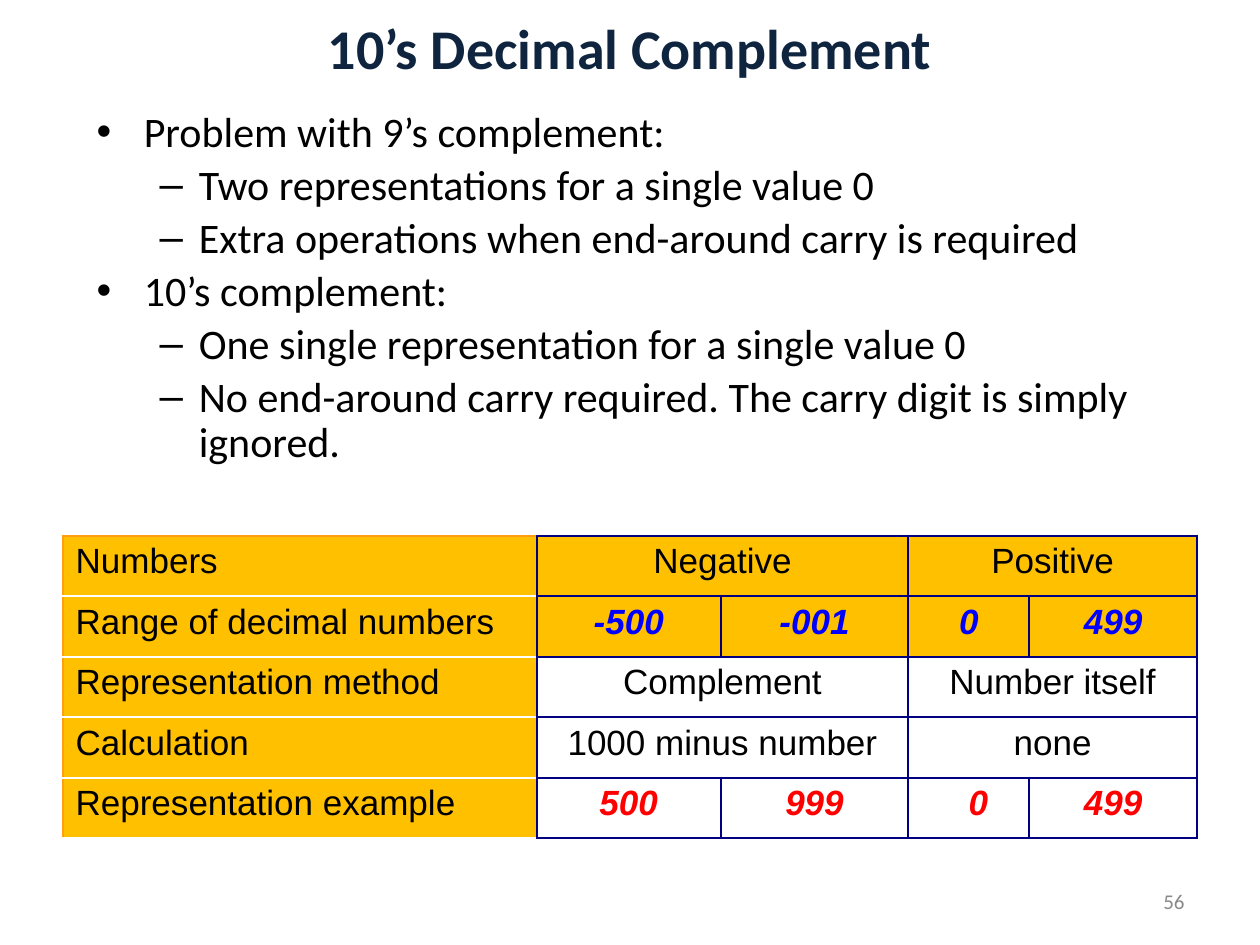
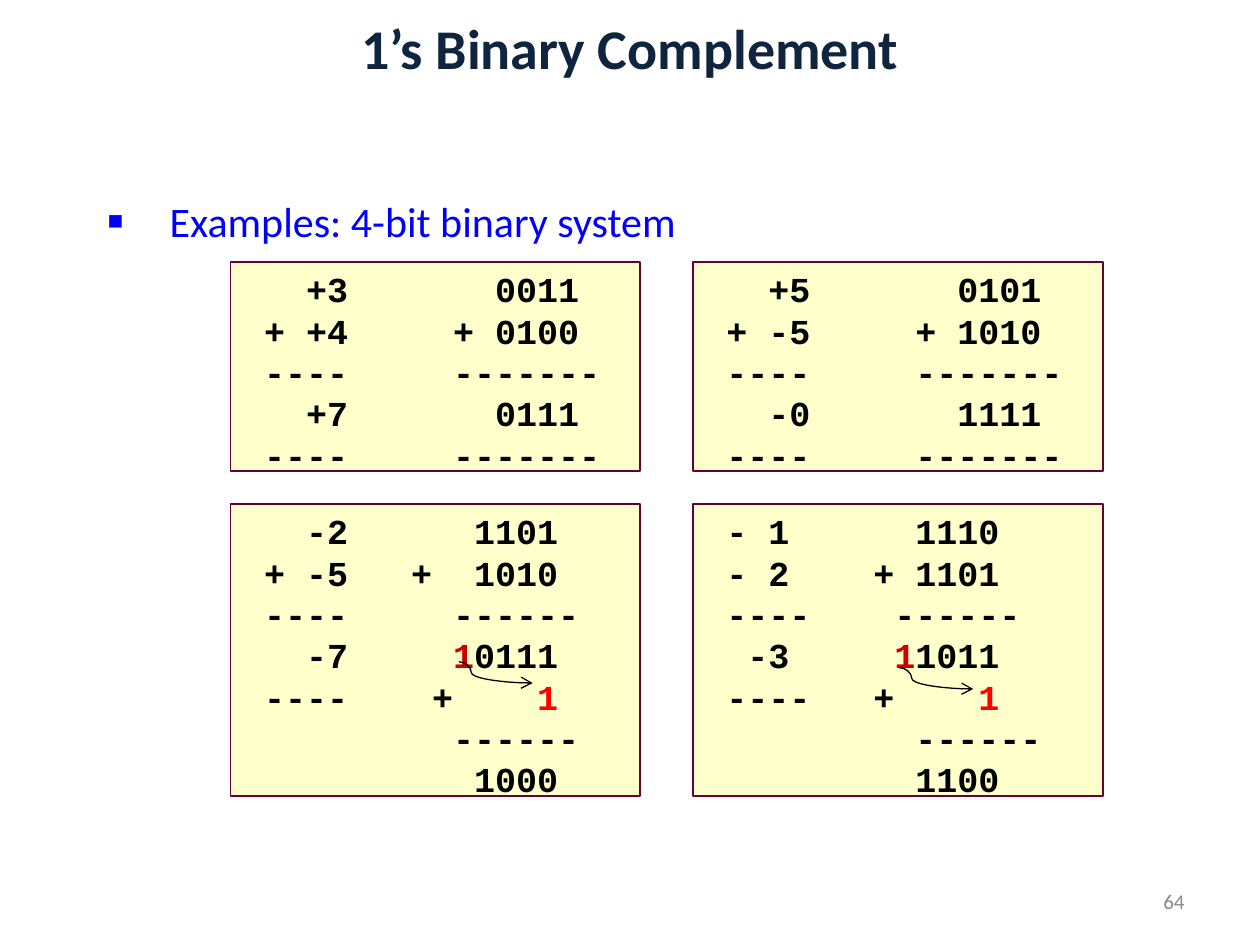
"""Builds two slides on decimal and binary complements."""
import pptx
import pptx.dml.color
import pptx.enum.shapes
import pptx.enum.text
import pptx.util
from lxml import etree
from pptx.util import Cm

RGB = pptx.dml.color.RGBColor
Align = pptx.enum.text.PP_ALIGN
Anchor = pptx.enum.text.MSO_ANCHOR
Pt = pptx.util.Pt

BLACK = RGB(0x00, 0x00, 0x00)
WHITE = RGB(0xFF, 0xFF, 0xFF)
INK = RGB(0x0F, 0x24, 0x3E)
GREY = RGB(0x89, 0x89, 0x89)
BLUE = RGB(0x00, 0x00, 0xFF)
NAVY = RGB(0x00, 0x00, 0x80)
RED = RGB(0xFF, 0x00, 0x00)
CARRY = RGB(0xCC, 0x00, 0x00)
GOLD = RGB(0xFF, 0xC0, 0x00)
AMBER = RGB(0xFF, 0x9F, 0x11)
CREAM = RGB(0xFF, 0xFF, 0xCC)
WINE = RGB(0x66, 0x00, 0x33)

SANS, PLAIN, MONO = "Calibri", "Arial", "Courier New"
CHAR = Pt(12)
NS = "http://schemas.openxmlformats.org/drawingml/2006/main"


def add(parent, tag, **attrs):
    node = etree.SubElement(parent, f"{{{NS}}}{tag}")
    for key, value in attrs.items():
        node.set(key, str(value))
    return node


class Deck:
    """Holds the shared style and the current slide."""

    def __init__(self):
        self.show = pptx.Presentation()
        self.show.slide_width = Cm(25.4)
        self.show.slide_height = Cm(19.05)

    def start(self, title, number):
        self.slide = self.show.slides.add_slide(self.show.slide_layouts[6])
        frame = self.frame(0, 0, 25.4, 1.9, Anchor.MIDDLE)
        self.put(frame.paragraphs[0], title, 32, INK, bold=True, align=Align.CENTER)
        frame = self.frame(18.2, 17.65, 5.93, 1.02, Anchor.MIDDLE)
        self.put(frame.paragraphs[0], number, 12, GREY, align=Align.RIGHT)

    def frame(self, left, top, width, height, anchor=Anchor.TOP):
        box = self.slide.shapes.add_textbox(Cm(left), Cm(top), Cm(width), Cm(height))
        box.text_frame.word_wrap = True
        box.text_frame.vertical_anchor = anchor
        return box.text_frame

    def put(self, para, text, size, color, font=SANS, bold=False, slant=False, align=None):
        if align is not None:
            para.alignment = align
        run = para.add_run()
        run.text = text
        run.font.name, run.font.size = font, Pt(size)
        run.font.bold, run.font.italic = bold, slant
        run.font.color.rgb = color

    def lines(self, frame, count, spacing, gap):
        for i in range(count):
            para = frame.add_paragraph() if i else frame.paragraphs[0]
            para.line_spacing = spacing
            para.space_before = Pt(gap if i else 0)
            yield para

    def bullets(self, place, items, color, spacing, marks, scale=100):
        frame = self.frame(*place)
        paras = self.lines(frame, len(items), spacing, 4.4)
        for para, (level, text) in zip(paras, items):
            mark, indent, hang = marks[level]
            para.level = level
            props = para._p.get_or_add_pPr()
            props.set("marL", str(Cm(indent)))
            props.set("indent", str(-Cm(hang)))
            add(props, "buSzPct", val=scale * 1000)
            add(props, "buFont", typeface=PLAIN)
            add(props, "buChar", char=mark)
            self.put(para, text, 24, color)

    def sums(self, left, top, height, rows):
        box = self.slide.shapes.add_shape(
            pptx.enum.shapes.MSO_SHAPE.RECTANGLE, Cm(left), Cm(top), Cm(8.26), Cm(height))
        box.shadow.inherit = False
        box.fill.solid()
        box.fill.fore_color.rgb = CREAM
        box.line.color.rgb, box.line.width = WINE, Pt(1)
        frame = box.text_frame
        frame.word_wrap, frame.vertical_anchor = True, Anchor.TOP
        frame.margin_top = Cm(0.25)
        for para, row in zip(self.lines(frame, len(rows), 0.85, 3.2), rows):
            para.alignment = Align.LEFT
            tabs = add(para._p.get_or_add_pPr(), "tabLst")
            end = 0
            for col, text, *color in row:
                if col > end:
                    add(tabs, "tab", pos=col * CHAR, algn="l")
                    text = "\t" + text
                    end = col - 1
                self.put(para, text, 20, color[0] if color else BLACK, MONO, bold=True)
                end += len(text)

    def arrow(self, left, top):
        line = self.slide.shapes.add_connector(
            pptx.enum.shapes.MSO_CONNECTOR.CURVE,
            Cm(left), Cm(top), Cm(left + 1.49), Cm(top + 0.43))
        line.line.color.rgb, line.line.width = BLACK, Pt(0.75)
        props = line._element.spPr
        add(props.find(f"{{{NS}}}ln"), "tailEnd", type="arrow")
        add(props, "effectLst")
        guides = props.find(f".//{{{NS}}}avLst")
        if guides is None:
            guides = add(props.find(f"{{{NS}}}prstGeom"), "avLst")
        add(guides, "gd", name="adj1", fmla="val 16900")

    def edges(self, cell, row, col):
        left = top = right = below = (NAVY, 1.5)
        if col == 0:
            left = (AMBER, 1.5)
            top = (WHITE if row else AMBER, 1.5)
            below = (WHITE, 1.5)
        elif col == 4:
            right = (NAVY, 1)
        props = cell._tc.get_or_add_tcPr()
        sides = {"lnL": left, "lnR": right, "lnT": top, "lnB": below}
        for tag, (color, width) in sides.items():
            line = add(props, tag, w=Pt(width))
            add(add(line, "solidFill"), "srgbClr", val=color)

    def table(self, left, top, widths, height, rows, tints):
        shape = self.slide.shapes.add_table(
            len(rows), len(widths), Cm(left), Cm(top), Cm(sum(widths)), Cm(height * len(rows)))
        table = shape.table
        table.first_row = table.horz_banding = False
        for col, width in zip(table.columns, widths):
            col.width = Cm(width)
        for r, texts in enumerate(rows):
            table.rows[r].height = Cm(height)
            for c, text in enumerate(texts):
                cell = table.cell(r, c)
                self.edges(cell, r, c)
                if c == 0 or r < 2:
                    cell.fill.solid()
                    cell.fill.fore_color.rgb = GOLD
                else:
                    cell.fill.background()
                if text is None:
                    table.cell(r, c - 1).merge(cell)
                    continue
                strong = c > 0 and r in tints
                self.put(cell.text_frame.paragraphs[0], text, 20,
                         tints[r] if strong else BLACK, PLAIN, strong, strong,
                         Align.CENTER if c else Align.LEFT)
        return table


def decimal(deck):
    deck.start("10’s Decimal Complement", "56")
    rows = [
        ("Numbers", "Negative", None, "Positive", None),
        ("Range of decimal numbers", "-500", "-001", "0", "499"),
        ("Representation method", "Complement", None, "Number itself", None),
        ("Calculation", "1000 minus number", None, "none", None),
        ("Representation example", "500", "999", "0", "499"),
    ]
    table = deck.table(1.27, 10.8, (9.55, 3.71, 3.78, 2.44, 3.38), 1.22, rows,
                       {1: BLUE, 4: RED})
    table.cell(4, 3).margin_left = Cm(0.64)
    items = [
        (0, "Problem with 9’s complement:"),
        (1, "Two representations for a single value 0"),
        (1, "Extra operations when end-around carry is required"),
        (0, "10’s complement:"),
        (1, "One single representation for a single value 0"),
        (1, "No end-around carry required. The carry digit is simply ignored."),
    ]
    deck.bullets((1.7, 2.11, 22.02, 5.94), items, BLACK, 0.9,
                 [("•", 0.95, 0.95), ("–", 2.06, 0.79)])


def binary(deck):
    deck.start("1’s Binary Complement", "64")
    deck.bullets((1.9, 3.81, 22.65, 1.27), [(0, "Examples: 4-bit binary system")],
                 BLUE, 1.0, [("▪", 1.27, 1.27)], 120)
    rule = [(1, "----"), (10, "-------")]
    cols, tops, highs = (4.65, 13.97), (5.28, 10.16), (4.22, 5.89)
    plain = [("+3", "0011", "+ +4", "+ 0100", "+7", "0111"),
             ("+5", "0101", "+ -5", "+ 1010", "-0", "1111")]
    for left, (one, bits, two, more, total, result) in zip(cols, plain):
        deck.sums(left, tops[0], highs[0], [
            [(3, one), (12, bits)], [(1, two), (10, more)], rule,
            [(3, total), (12, result)], rule])
    carried = [
        [[(3, "-2"), (11, "1101")],
         [(1, "+ -5"), (8, "+"), (11, "1010")],
         [(1, "----"), (10, "------")],
         [(3, "-7"), (10, "1", CARRY), (11, "0111")],
         [(1, "----"), (9, "+"), (14, "1", RED)],
         [(10, "------")],
         [(11, "1000")]],
        [[(1, "- 1"), (10, "1110")],
         [(1, "- 2"), (8, "+ 1101")],
         [(1, "----"), (9, "------")],
         [(2, "-3"), (9, "1", CARRY), (10, "1011")],
         [(1, "----"), (8, "+"), (13, "1", RED)],
         [(10, "------")],
         [(10, "1100")]],
    ]
    for left, rows in zip(cols, carried):
        deck.sums(left, tops[1], highs[1], rows)
    deck.arrow(9.25, 13.34)
    deck.arrow(18.13, 13.46)


def main():
    deck = Deck()
    decimal(deck)
    binary(deck)
    deck.show.save("out.pptx")


if __name__ == "__main__":
    main()
